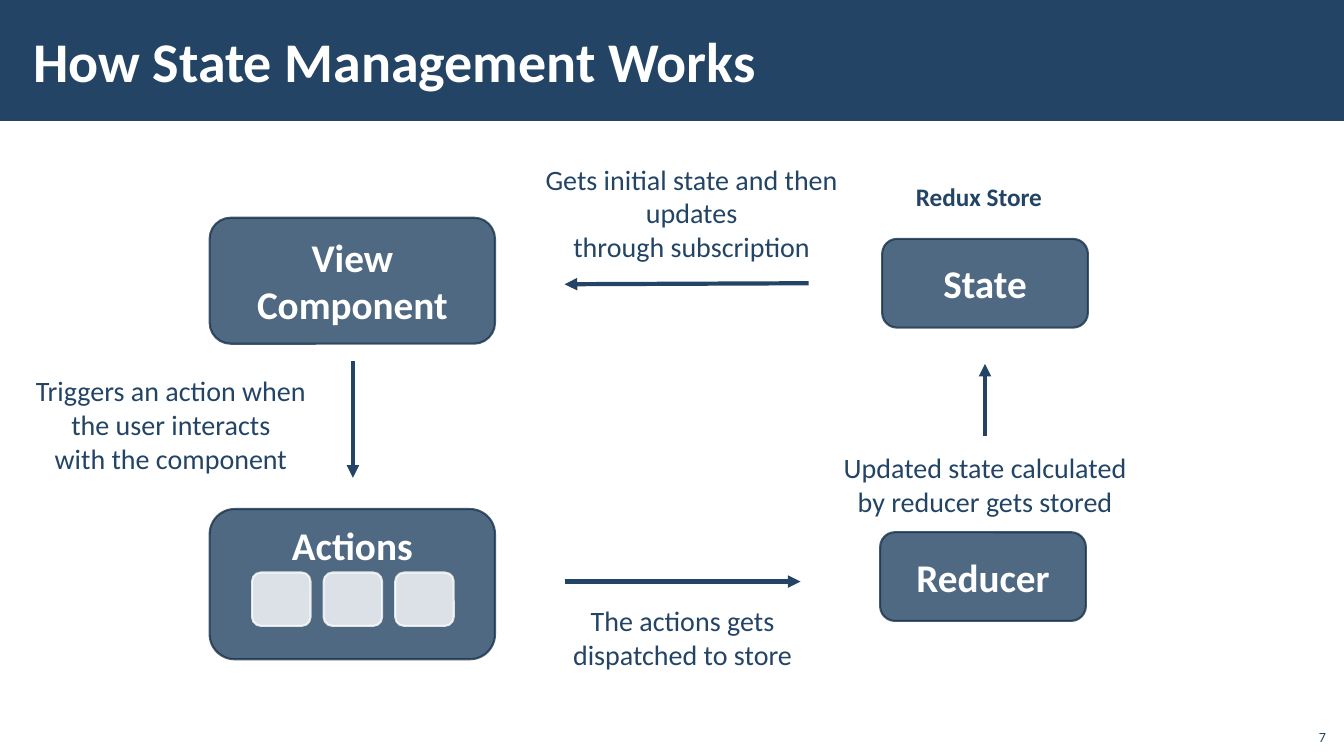
from typing import NamedTuple

from lxml import etree
from pptx import Presentation
from pptx.dml.color import RGBColor
from pptx.enum import shapes, text
from pptx.oxml.ns import qn
from pptx.util import Inches, Pt

NAVY = RGBColor(0x23, 0x44, 0x65)
DARK_NAVY = RGBColor(0x1A, 0x33, 0x4C)
WHITE = RGBColor(0xFF, 0xFF, 0xFF)
FONT = "Calibri"
OPACITY = "80000"


class Box(NamedTuple):
    """A rectangle in inches."""

    left: float
    top: float
    width: float
    height: float

    def inner(self, left, top, width, height):
        """Return a box placed relative to this one."""
        return Box(self.left + left, self.top + top, width, height)

    def point(self, across, down):
        """Return a point placed relative to this box."""
        return self.left + across, self.top + down

    def emu(self):
        """Return the four lengths for python-pptx."""
        return [Inches(length) for length in self]


def style_text(frame, words, size, color, bold=False, align=text.PP_ALIGN.CENTER):
    """Write one paragraph into a frame and format it."""
    para = frame.paragraphs[0]
    para.text = words
    para.alignment = align
    para.font.name = FONT
    para.font.size = Pt(size)
    para.font.bold = bold
    para.font.color.rgb = color


def add_label(page, box, words, size=20, color=NAVY, bold=False,
              align=text.PP_ALIGN.CENTER, anchor=text.MSO_ANCHOR.TOP, wrap=False):
    """Add a text box and return its frame."""
    frame = page.shapes.add_textbox(*box.emu()).text_frame
    frame.word_wrap = wrap
    frame.vertical_anchor = anchor
    style_text(frame, words, size, color, bold, align)
    return frame


def add_panel(page, box, fill=NAVY, outline=DARK_NAVY):
    """Add a translucent rounded rectangle."""
    panel = page.shapes.add_shape(shapes.MSO_SHAPE.ROUNDED_RECTANGLE, *box.emu())
    panel.shadow.inherit = False
    panel.fill.solid()
    panel.fill.fore_color.rgb = fill
    panel.line.color.rgb = outline
    panel.line.width = Pt(1.5)
    for color in panel._element.spPr.iter(qn("a:srgbClr")):
        etree.SubElement(color, qn("a:alpha"), val=OPACITY)
    return panel


def add_node(page, box, words, anchor=text.MSO_ANCHOR.MIDDLE):
    """Add a named step of the state cycle."""
    frame = add_panel(page, box).text_frame
    frame.word_wrap = True
    frame.vertical_anchor = anchor
    style_text(frame, words, 28, WHITE, bold=True)


def add_arrow(page, start, end):
    """Add an arrow that points at its end."""
    ends = [Inches(length) for length in (*start, *end)]
    arrow = page.shapes.add_connector(shapes.MSO_CONNECTOR.STRAIGHT, *ends)
    arrow.line.color.rgb = NAVY
    arrow.line.width = Pt(3)
    properties = arrow._element.spPr
    etree.SubElement(properties.find(qn("a:ln")), qn("a:tailEnd"), type="triangle")
    etree.SubElement(properties, qn("a:effectLst"))


def draw_header(page, box, words):
    """Draw the title band."""
    band = page.shapes.add_shape(shapes.MSO_SHAPE.RECTANGLE, *box.emu())
    band.shadow.inherit = False
    band.fill.solid()
    band.fill.fore_color.rgb = NAVY
    band.line.fill.background()
    frame = add_label(page, box.inner(0.21, 0.11, 10.63, 0.97), words, 40, WHITE,
                      bold=True, align=text.PP_ALIGN.LEFT,
                      anchor=text.MSO_ANCHOR.MIDDLE, wrap=True)
    frame.margin_left = frame.margin_right = Inches(0.12)
    frame.margin_top = frame.margin_bottom = Inches(0.04)


def draw_view_side(page, box):
    """Draw the view component and the actions it triggers."""
    add_node(page, box.inner(1.87, 0, 2.83, 1.25), "View Component")
    add_arrow(page, box.point(3.29, 1.42), box.point(3.29, 2.58))
    add_label(page, box.inner(0, 1.5, 2.97, 1.11),
              "Triggers an action when\nthe user interacts\nwith the component")
    actions = box.inner(1.87, 2.89, 2.83, 1.49)
    add_node(page, actions, "Actions", text.MSO_ANCHOR.TOP)
    for index in range(3):
        tile = actions.inner(0.42 + 0.71 * index, 0.63, 0.58, 0.53)
        add_panel(page, tile, WHITE, WHITE)


def draw_exchange(page, box):
    """Draw the two flows between view and store."""
    add_label(page, box.inner(0, 0, 3.2, 1.11),
              "Gets initial state and then\nupdates\nthrough subscription")
    add_arrow(page, box.point(2.76, 1.25), box.point(0.34, 1.26))
    add_arrow(page, box.point(0.34, 4.21), box.point(2.68, 4.21))
    add_label(page, box.inner(0.31, 4.38, 2.4, 0.77),
              "The actions gets\ndispatched to store")


def draw_store(page, box):
    """Draw the store with its state and reducer."""
    add_label(page, box.inner(0.73, 0, 1.46, 0.4), "Redux Store", 18, bold=True)
    add_node(page, box.inner(0.5, 0.62, 2.04, 0.88), "State")
    add_arrow(page, box.point(1.52, 2.58), box.point(1.52, 1.86))
    add_label(page, box.inner(0, 2.67, 3.04, 0.77),
              "Updated state calculated\nby reducer gets stored")
    add_node(page, box.inner(0.48, 3.53, 2.04, 0.88), "Reducer")


def main():
    """Build and save the deck."""
    deck = Presentation()
    deck.slide_width = Inches(13.33)
    deck.slide_height = Inches(7.5)
    page = deck.slides.add_slide(deck.slide_layouts[6])
    draw_header(page, Box(0, 0, 13.33, 1.2), "How State Management Works")
    draw_view_side(page, Box(0.21, 2.16, 4.7, 4.38))
    draw_exchange(page, Box(5.26, 1.56, 3.2, 5.15))
    draw_store(page, Box(8.25, 1.75, 3.04, 4.41))
    add_label(page, Box(12.85, 7.12, 0.4, 0.32), "7", 10,
              align=text.PP_ALIGN.RIGHT, anchor=text.MSO_ANCHOR.BOTTOM, wrap=True)
    deck.save("out.pptx")


if __name__ == "__main__":
    main()
